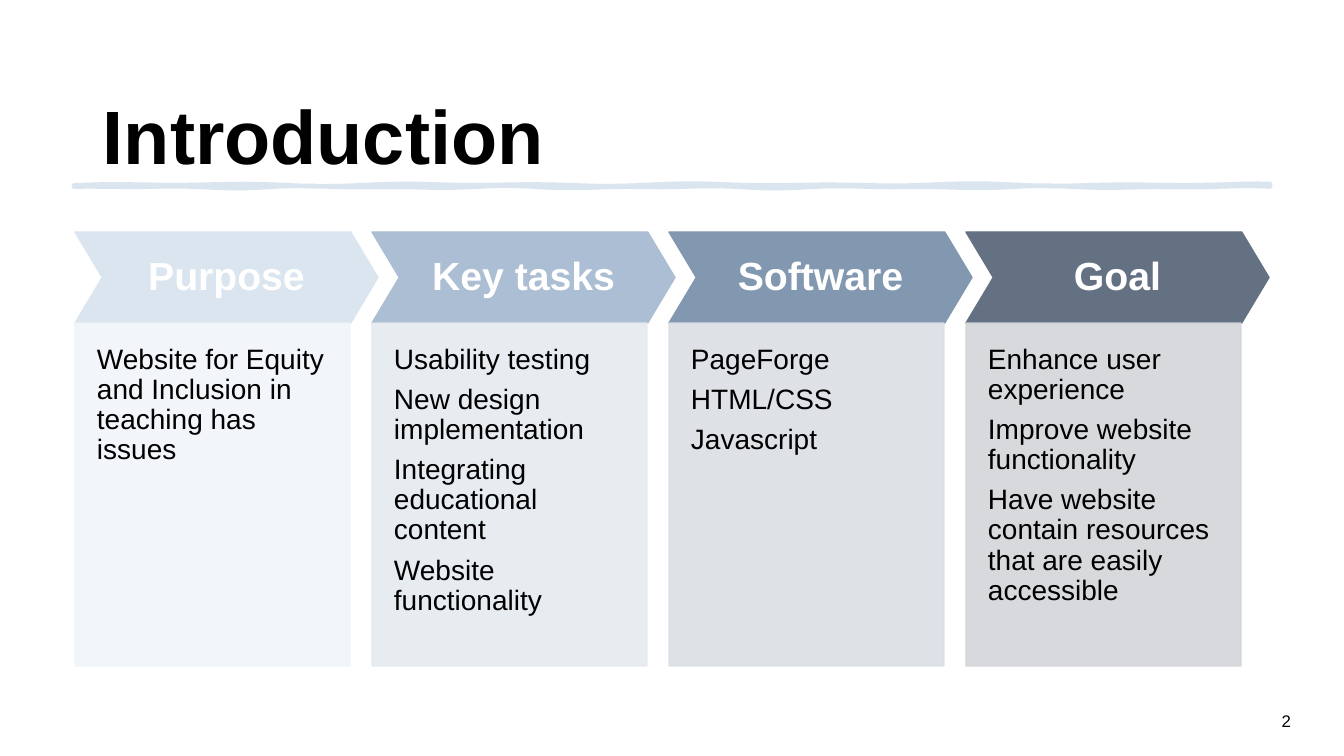
from dataclasses import dataclass
from math import sin

from lxml import etree
from pptx import Presentation
from pptx.dml.color import RGBColor
from pptx.enum.shapes import MSO_SHAPE
from pptx.enum.text import MSO_ANCHOR, PP_ALIGN
from pptx.oxml.ns import qn
from pptx.util import Pt

CHEVRON, RECTANGLE = MSO_SHAPE.CHEVRON, MSO_SHAPE.RECTANGLE
TOP, MIDDLE, BOTTOM = MSO_ANCHOR.TOP, MSO_ANCHOR.MIDDLE, MSO_ANCHOR.BOTTOM
LEFT, CENTER, RIGHT = PP_ALIGN.LEFT, PP_ALIGN.CENTER, PP_ALIGN.RIGHT

PX = 914400 / 100.8


def px(length):
    return round(length * PX)


@dataclass(frozen=True)
class Theme:
    font: str = "Arial"
    ink: str = "000000"
    paper: str = "FFFFFF"
    rule: str = "DAE5EF"
    headers: tuple = ("DAE5EF", "ABBED3", "8297B0", "637183")
    panels: tuple = ("F1F5F9", "E5EAF0", "DBDFE5", "D3D5D9")
    title_size: int = 54
    header_size: int = 28
    body_size: int = 20
    number_size: int = 12


class SlideBuilder:
    def __init__(self, slide, theme):
        self.slide = slide
        self.theme = theme

    def paint(self, shape, color, line_width=1, opacity=100):
        shape.shadow.inherit = False
        shape.fill.solid()
        shape.fill.fore_color.rgb = RGBColor.from_string(color)
        shape.line.color.rgb = RGBColor.from_string(color)
        shape.line.width = Pt(line_width)
        if opacity < 100:
            for tint in shape._element.spPr.iter(qn("a:srgbClr")):
                etree.SubElement(tint, qn("a:alpha"), val=str(opacity * 1000))

    def set_text(self, shape, lines, size, color, align=LEFT, anchor=TOP,
                 insets=(10, 5, 10, 5), bold=False, spacing=0.9, gap=0):
        frame = shape.text_frame
        frame.word_wrap = True
        frame.vertical_anchor = anchor
        (frame.margin_left, frame.margin_top,
         frame.margin_right, frame.margin_bottom) = map(px, insets)
        for index, line in enumerate(lines):
            paragraph = frame.add_paragraph() if index else frame.paragraphs[0]
            paragraph.text = line
            paragraph.alignment = align
            paragraph.line_spacing = spacing
            paragraph.space_after = Pt(gap)
            paragraph.font.name = self.theme.font
            paragraph.font.size = Pt(size)
            paragraph.font.bold = bold
            paragraph.font.color.rgb = RGBColor.from_string(color)

    def text(self, box, line, size, **style):
        label = self.slide.shapes.add_textbox(*map(px, box))
        self.set_text(label, [line], size, self.theme.ink, **style)

    def header(self, box, name, color):
        chevron = self.slide.shapes.add_shape(CHEVRON, *map(px, box))
        chevron.adjustments[0] = 0.3
        self.paint(chevron, color)
        self.set_text(chevron, [name], self.theme.header_size, self.theme.paper,
                      align=CENTER, anchor=MIDDLE, insets=(11, 11, 11, 11), bold=True)

    def panel(self, box, points, color):
        panel = self.slide.shapes.add_shape(RECTANGLE, *map(px, box))
        self.paint(panel, color, opacity=90)
        self.set_text(panel, points, self.theme.body_size, self.theme.ink,
                      insets=(22, 22, 22, 43), gap=7)

    def brush_rule(self, left, right, top, thickness):
        # Outline in tenths of a px: both edges waver by about one px
        xs = range(left, right + 1, 13)
        upper = [(10 * x, 10 * top + round(8 * sin(x / 23) + 6 * sin(x / 41)))
                 for x in xs]
        lower = [(10 * x, 10 * (top + thickness)
                  + round(7 * sin(x / 29) + 6 * sin(x / 17)))
                 for x in reversed(xs)]
        outline = self.slide.shapes.build_freeform(*upper[0], scale=PX / 10)
        outline.add_line_segments(upper[1:] + lower, close=True)
        self.paint(outline.convert_to_shape(), self.theme.rule, line_width=3.25)


COLUMNS = (
    ("Purpose", ["Website for Equity and Inclusion in teaching has issues"]),
    ("Key tasks", ["Usability testing", "New design implementation",
                   "Integrating educational content", "Website functionality"]),
    ("Software", ["PageForge", "HTML/CSS", "Javascript"]),
    ("Goal", ["Enhance user experience", "Improve website functionality",
              "Have website contain resources that are easily accessible"]),
)
FIRST_LEFT, COLUMN_STEP = 75, 297
HEADER_TOP, HEADER_WIDTH, HEADER_HEIGHT = 232, 303, 91
PANEL_WIDTH, PANEL_HEIGHT = 275, 343


def main():
    deck = Presentation()
    deck.slide_width, deck.slide_height = px(1344), px(756)
    theme = Theme()
    page = SlideBuilder(deck.slides.add_slide(deck.slide_layouts[6]), theme)

    # Title and brushed rule
    page.text((93, 40, 1159, 146), "Introduction", theme.title_size,
              anchor=BOTTOM, bold=True)
    page.brush_rule(74, 1270, 185, 2)

    # Four columns, each a chevron header over a panel
    for index, (name, points) in enumerate(COLUMNS):
        left = FIRST_LEFT + index * COLUMN_STEP
        page.header((left, HEADER_TOP, HEADER_WIDTH, HEADER_HEIGHT),
                    name, theme.headers[index])
        page.panel((left, HEADER_TOP + HEADER_HEIGHT, PANEL_WIDTH, PANEL_HEIGHT),
                   points, theme.panels[index])

    # Page number
    page.text((1119, 701, 182, 40), "2", theme.number_size,
              align=RIGHT, anchor=MIDDLE, spacing=1.0)

    deck.save("out.pptx")


if __name__ == "__main__":
    main()
